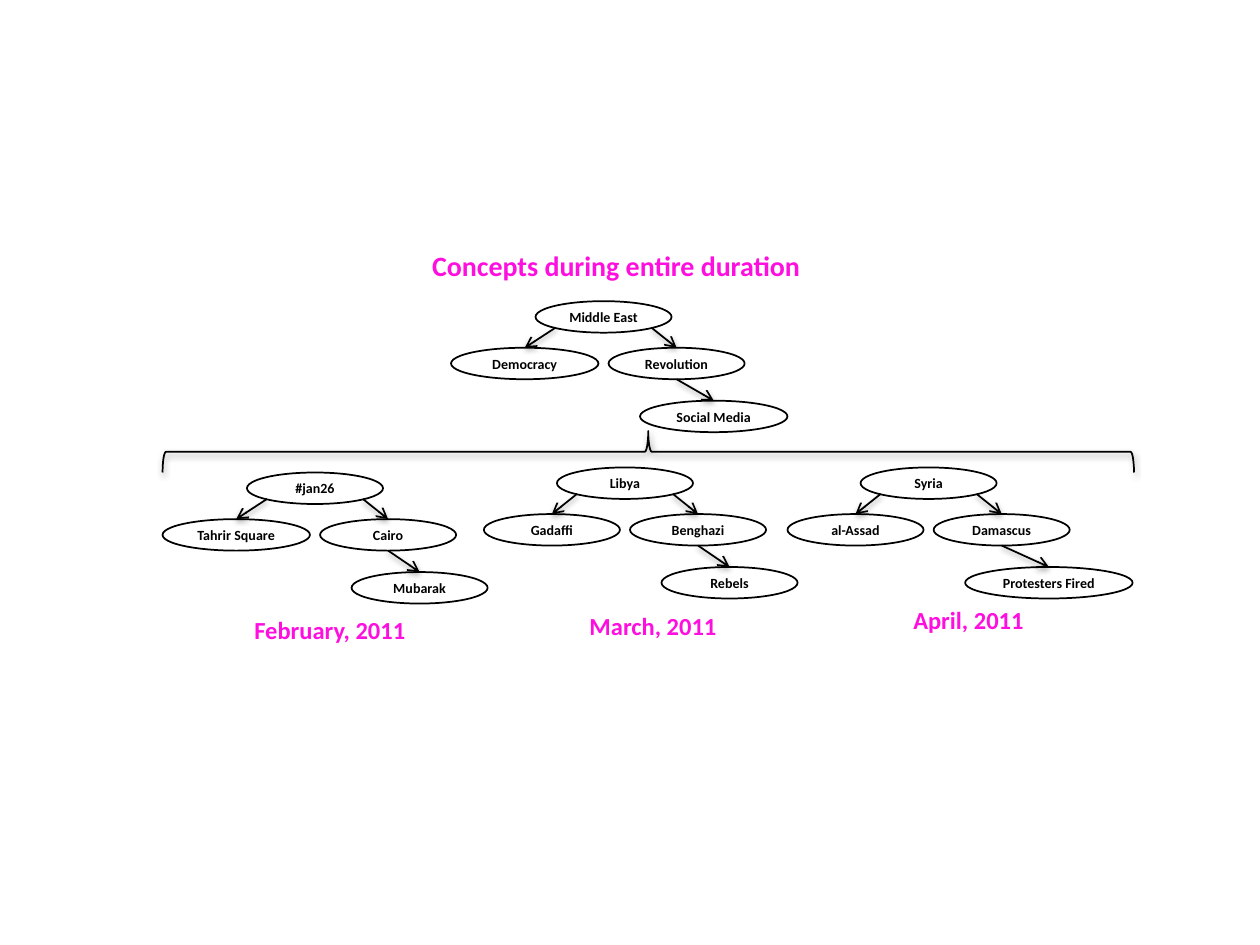
from lxml.etree import SubElement
from pptx import Presentation
from pptx.dml.color import RGBColor
from pptx.enum.shapes import MSO_CONNECTOR, MSO_SHAPE
from pptx.enum.text import MSO_ANCHOR, MSO_AUTO_SIZE, PP_ALIGN
from pptx.oxml.ns import qn
from pptx.util import Inches, Pt

COLORS = {"ink": "000000", "caption": "FF0FDF"}
NODE_W, NODE_H = 1.08, 0.25
CHILD_DROP, GRANDCHILD_DROP = 0.37, 0.79

# Heading and the place of the tree below it
HEADING = ("Concepts during entire duration", 3.33, 1.92, 3.16, 0.37)
OVERALL = (4.25, 2.39, "Middle East", ("Democracy", 1.17), "Revolution", ("Social Media", 1.17))

# Monthly trees: root left, root top, root, left child, right child, grandchild
MONTHS = [
    (1.96, 3.75, "#jan26", ("Tahrir Square", 1.17), "Cairo", ("Mubarak", NODE_W)),
    (4.42, 3.71, "Libya", ("Gadaffi", NODE_W), "Benghazi", ("Rebels", NODE_W)),
    (6.83, 3.71, "Syria", ("al-Assad", NODE_W), "Damascus", ("Protesters Fired", 1.33)),
]
MONTH_CAPTIONS = [
    ("February, 2011", 1.92, 4.83, 1.41, 0.34),
    ("March, 2011", 4.58, 4.8, 1.22, 0.34),
    ("April, 2011", 7.15, 4.75, 1.1, 0.34),
]


def rgb(name):
    return RGBColor.from_string(COLORS[name])


def style_text(frame, text, size, color, align):
    frame.text = text
    paragraph = frame.paragraphs[0]
    paragraph.alignment = align
    font = paragraph.runs[0].font
    font.name, font.size, font.bold = "Calibri", Pt(size), True
    font.color.rgb = rgb(color)


def style_line(item):
    item.line.color.rgb = rgb("ink")
    item.line.width = Pt(1)


def add_soft_shadow(item):
    properties = item.element.spPr
    effects = properties.find(qn("a:effectLst"))
    if effects is None:
        effects = SubElement(properties, qn("a:effectLst"))
    shadow = SubElement(effects, qn("a:outerShdw"), blurRad="40000", dist="20000",
                        dir="5400000", rotWithShape="0")
    color = SubElement(shadow, qn("a:srgbClr"), val=COLORS["ink"])
    SubElement(color, qn("a:alpha"), val="38000")


def add_outline(slide, kind, left, top, width, height):
    outline = slide.shapes.add_shape(
        kind, Inches(left), Inches(top), Inches(width), Inches(height))
    outline.shadow.inherit = False
    outline.fill.background()
    style_line(outline)
    return outline


def add_node(slide, text, left, top, width=NODE_W):
    node = add_outline(slide, MSO_SHAPE.OVAL, left, top, width, NODE_H)
    frame = node.text_frame
    frame.margin_left = frame.margin_right = frame.margin_top = frame.margin_bottom = 0
    frame.vertical_anchor = MSO_ANCHOR.MIDDLE
    style_text(frame, text, 8, "ink", PP_ALIGN.CENTER)


def add_arrow(slide, x1, y1, x2, y2):
    arrow = slide.shapes.add_connector(
        MSO_CONNECTOR.STRAIGHT, Inches(x1), Inches(y1), Inches(x2), Inches(y2))
    style_line(arrow)
    SubElement(arrow.element.spPr.find(qn("a:ln")), qn("a:tailEnd"), type="arrow")
    add_soft_shadow(arrow)


def add_tree(slide, left, top, root, left_child, right_child, grandchild):
    left_text, left_w = left_child
    last_text, last_w = grandchild
    child_top, last_top = top + CHILD_DROP, top + GRANDCHILD_DROP
    left_x, right_x, last_x = left + 0.5 - left_w, left + 0.58, left + 0.83
    right_mid = right_x + NODE_W / 2

    add_node(slide, root, left, top)
    add_node(slide, left_text, left_x, child_top, left_w)
    add_node(slide, right_child, right_x, child_top)
    add_node(slide, last_text, last_x, last_top, last_w)

    # Arrows leave the root at its lower diagonals
    add_arrow(slide, left + 0.16, top + 0.21, left_x + left_w / 2, child_top)
    add_arrow(slide, left + NODE_W - 0.16, top + 0.21, right_mid, child_top)
    add_arrow(slide, right_mid, child_top + NODE_H, last_x + last_w / 2, last_top)


def format_caption(caption, text, size, left, top, width, height):
    caption.left, caption.top = Inches(left), Inches(top)
    caption.width, caption.height = Inches(width), Inches(height)
    frame = caption.text_frame
    frame.word_wrap = False
    frame.auto_size = MSO_AUTO_SIZE.SHAPE_TO_FIT_TEXT
    frame.vertical_anchor = MSO_ANCHOR.TOP
    style_text(frame, text, size, "caption", PP_ALIGN.LEFT)


def add_brace(slide, left, top, width, height):
    # A right brace turned to point up, so its own box is the upright one
    brace = add_outline(slide, MSO_SHAPE.RIGHT_BRACE, left + (width - height) / 2,
                        top + (height - width) / 2, height, width)
    brace.rotation = 270
    add_soft_shadow(brace)


def build_concept_slide(prs):
    slide = prs.slides.add_slide(prs.slide_layouts[5])
    heading, *heading_box = HEADING
    format_caption(slide.shapes.title, heading, 16, *heading_box)

    for tree in [*MONTHS, OVERALL]:
        add_tree(slide, *tree)
    add_brace(slide, 1.29, 3.42, 7.71, 0.33)

    for month, *box in MONTH_CAPTIONS:
        caption = slide.shapes.add_textbox(*map(Inches, box))
        format_caption(caption, month, 14, *box)


prs = Presentation()
prs.slide_width, prs.slide_height = Inches(10), Inches(7.5)
build_concept_slide(prs)
prs.save("out.pptx")
